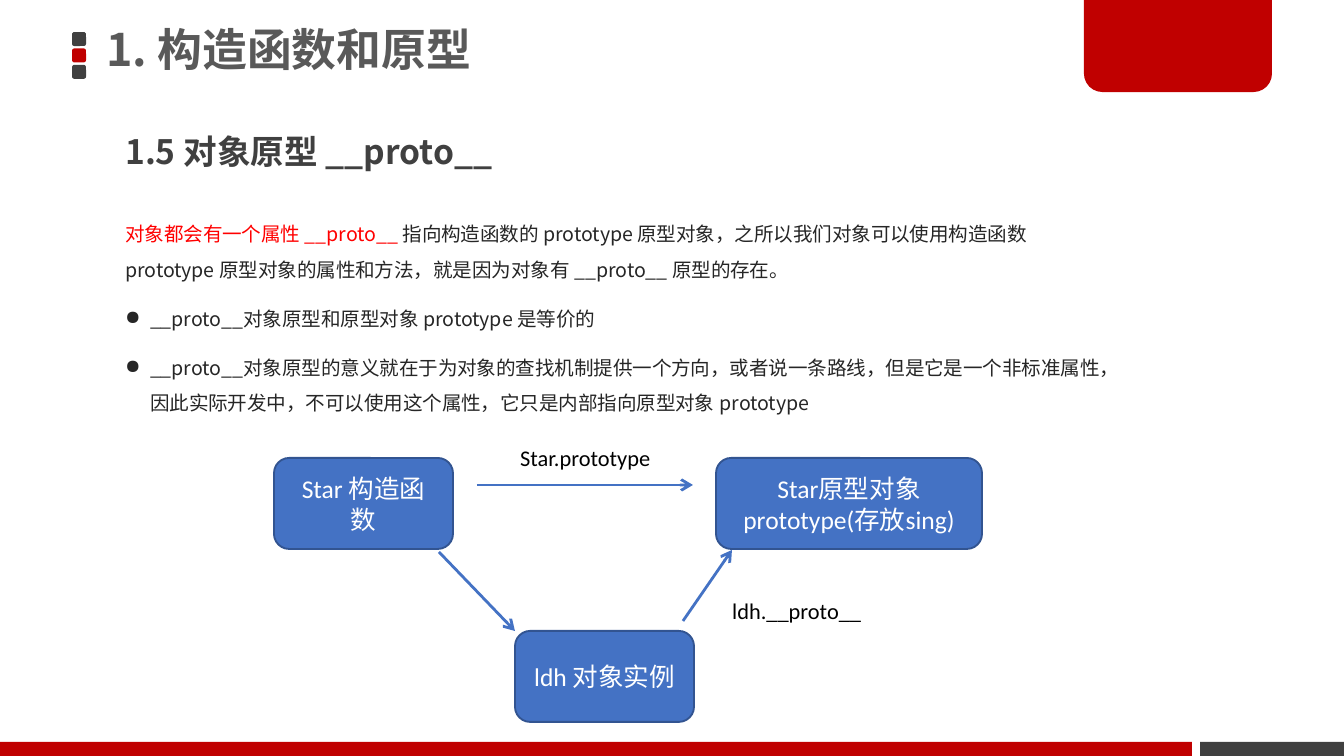
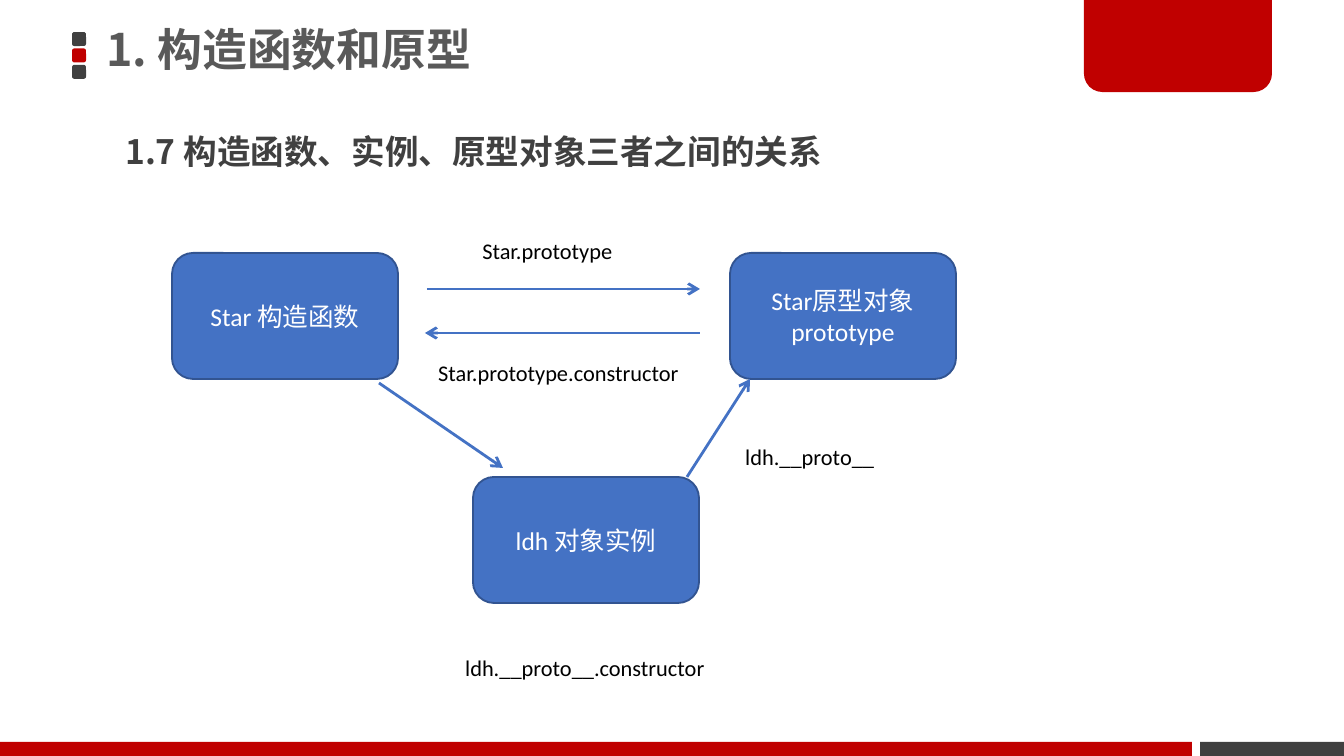
from lxml import etree
from pptx import Presentation
from pptx.dml.color import RGBColor
from pptx.enum.shapes import MSO_CONNECTOR, MSO_SHAPE
from pptx.enum.text import MSO_ANCHOR, MSO_AUTO_SIZE, PP_ALIGN
from pptx.oxml.ns import qn
from pptx.util import Pt

SCALE = 914400 / 134.4
RECT = MSO_SHAPE.RECTANGLE
ROUND = MSO_SHAPE.ROUNDED_RECTANGLE
TAB = MSO_SHAPE.ROUND_2_SAME_RECTANGLE
STRAIGHT = MSO_CONNECTOR.STRAIGHT
TOP, MIDDLE = MSO_ANCHOR.TOP, MSO_ANCHOR.MIDDLE
CENTER = PP_ALIGN.CENTER
GROW = MSO_AUTO_SIZE.SHAPE_TO_FIT_TEXT

RED, DARK, BLUE, EDGE = "C00000", "404040", "4472C4", "325491"
HAN, LATIN = "Noto Sans CJK SC", "Calibri"
TITLE = {"size": Pt(24), "name": HAN, "bold": True, "color": "595959"}
HEAD = {"size": Pt(18), "name": HAN, "bold": True, "color": DARK}
BODY = {"size": Pt(10.5), "name": HAN, "color": "262626"}
KEY = {**BODY, "color": "FF0000"}
NODE = {"size": Pt(13.7), "name": LATIN, "color": "FFFFFF"}
LABEL = {"size": Pt(12), "name": LATIN, "color": "000000"}
TIGHT = {"line_spacing": 0.9}
HEADING = {**TIGHT, "space_before": Pt(7.5)}
PROSE = {"line_spacing": 1.5, "space_before": Pt(7.5)}


def px(*vals):
    """Turn pixels into EMU."""
    return [round(v * SCALE) for v in vals]


def rgb(code):
    """Turn a hex string into a colour."""
    return RGBColor.from_string(code)


def put(item, **vals):
    """Set each named value on an object."""
    for key, val in vals.items():
        setattr(item, key, val)


def child(node, tag, **attrs):
    """Append an XML element with attributes."""
    return etree.SubElement(node, qn(tag), attrs)


class Deck:
    """Holds the style and the current slide."""

    def __init__(self):
        """Open a deck of the right size."""
        self.show = Presentation()
        put(self.show, **dict(zip(("slide_width", "slide_height"), px(1344, 756))))

    def page(self, title, head):
        """Start a slide with the shared frame, title and heading."""
        self.slide = self.show.slides.add_slide(self.show.slide_layouts[6])
        for i, color in enumerate((DARK, RED, DARK)):
            self.shape(ROUND, (72, 32 + 16.4 * i, 14, 14), color)
        self.shape(RECT, (1200, 742, 144, 14), DARK)
        self.shape(RECT, (0, 742, 1192, 14), RED)
        tab = self.shape(TAB, (1084, 0, 188, 92), RED)
        tab.adjustments[0], tab.adjustments[1] = 0, 0.2
        self.text((93, 1, 991, 101), [[(title, TITLE)]], TIGHT, MIDDLE)
        self.text((112, 129, 958, 79), [[(head, HEAD)]], HEADING)

    def shape(self, kind, area, fill, edge=None):
        """Add a filled preset shape."""
        shape = self.slide.shapes.add_shape(kind, *px(*area))
        shape.shadow.inherit = False
        shape.fill.solid()
        shape.fill.fore_color.rgb = rgb(fill)
        if edge:
            shape.line.color.rgb = rgb(edge)
            shape.line.width = Pt(1)
        else:
            shape.line.fill.background()
        return shape

    def words(self, para, runs, form):
        """Fill a paragraph with styled runs."""
        put(para, **form)
        for text, style in runs:
            run = para.add_run()
            run.text = text
            put(run.font, **{k: v for k, v in style.items() if k != "color"})
            run.font.color.rgb = rgb(style["color"])
            child(run._r.get_or_add_rPr(), "a:ea", typeface=HAN)

    def text(self, area, paras, form, anchor=TOP):
        """Add a wrapped text box."""
        frame = self.slide.shapes.add_textbox(*px(*area)).text_frame
        put(frame, word_wrap=True, vertical_anchor=anchor)
        for i, runs in enumerate(paras):
            para = frame.add_paragraph() if i else frame.paragraphs[0]
            self.words(para, runs, form)
        return frame

    def prose(self, area, lead, points):
        """Add a lead paragraph with bullets below it."""
        frame = self.text(area, [lead] + [[(p, BODY)] for p in points], PROSE)
        dent = px(25)[0]
        for para in frame.paragraphs[1:]:
            props = para._p.get_or_add_pPr()
            props.set("marL", str(dent))
            props.set("indent", str(-dent))
            child(props, "a:buChar", char="●")

    def node(self, area, name):
        """Add a rounded box with centred text."""
        frame = self.shape(ROUND, area, BLUE, EDGE).text_frame
        put(frame, word_wrap=True, vertical_anchor=MIDDLE)
        self.words(frame.paragraphs[0], [(name, NODE)], {"alignment": CENTER})

    def label(self, left, top, wide, name):
        """Add a one-line caption."""
        frame = self.text((left, top, wide, 40), [[(name, LABEL)]], {})
        put(frame, word_wrap=False, auto_size=GROW)

    def arrow(self, *ends):
        """Add a line with an open head at its end."""
        link = self.slide.shapes.add_connector(STRAIGHT, *px(*ends))
        link.line.color.rgb = rgb(BLUE)
        link.line.width = Pt(1.5)
        props = link._element.spPr
        child(props.find(qn("a:ln")), "a:tailEnd", type="arrow")
        child(props, "a:effectLst")

    def graph(self, nodes, arrows, labels):
        """Add boxes, arrows and captions."""
        for area, name in nodes:
            self.node(area, name)
        for ends in arrows:
            self.arrow(*ends)
        for item in labels:
            self.label(*item)


TOPIC = "1. 构造函数和原型"
MAKER, THING, PROTO = "Star 构造函数", "ldh 对象实例", "Star原型对象prototype"

deck = Deck()

deck.page(TOPIC, "1.5 对象原型 __proto__")
deck.prose(
    (112, 204, 1019, 270),
    [("对象都会有一个属性 __proto__ ", KEY),
     ("指向构造函数的 prototype 原型对象，之所以我们对象可以使用构造函数 prototype "
      "原型对象的属性和方法，就是因为对象有 __proto__ 原型的存在。", BODY)],
    ["__proto__对象原型和原型对象 prototype 是等价的",
     "__proto__对象原型的意义就在于为对象的查找机制提供一个方向，或者说一条路线，"
     "但是它是一个非标准属性，因此实际开发中，不可以使用这个属性，"
     "它只是内部指向原型对象 prototype"])
deck.graph(
    [((274, 458, 179, 91), MAKER),
     ((515, 631, 179, 91), THING),
     ((716, 458, 266, 91), PROTO + "(存放sing)")],
    [(439, 552, 515, 631), (683, 621, 732, 550), (477, 485, 693, 485)],
    [(719, 591, 157, "ldh.__proto__"), (507, 438, 159, "Star.prototype")])

deck.page(TOPIC, "1.7 构造函数、实例、原型对象三者之间的关系")
deck.graph(
    [((172, 253, 226, 126), MAKER),
     ((473, 477, 226, 126), THING),
     ((730, 253, 226, 126), PROTO)],
    [(379, 383, 503, 468), (687, 477, 750, 379),
     (700, 333, 425, 333), (427, 289, 700, 289)],
    [(732, 437, 157, "ldh.__proto__"),
     (425, 353, 270, "Star.prototype.constructor"),
     (469, 231, 159, "Star.prototype"),
     (452, 648, 269, "ldh.__proto__.constructor")])

deck.show.save("out.pptx")
